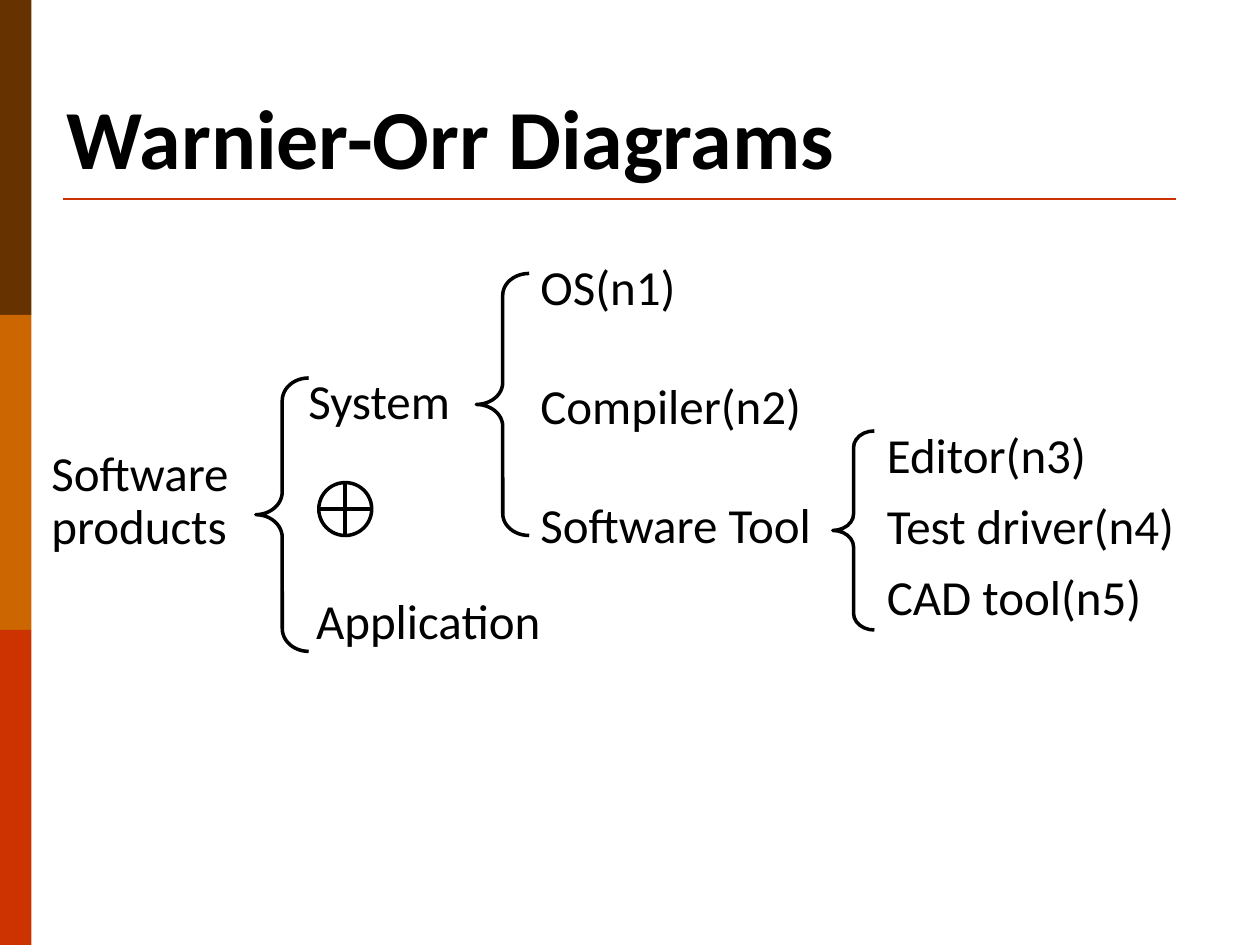
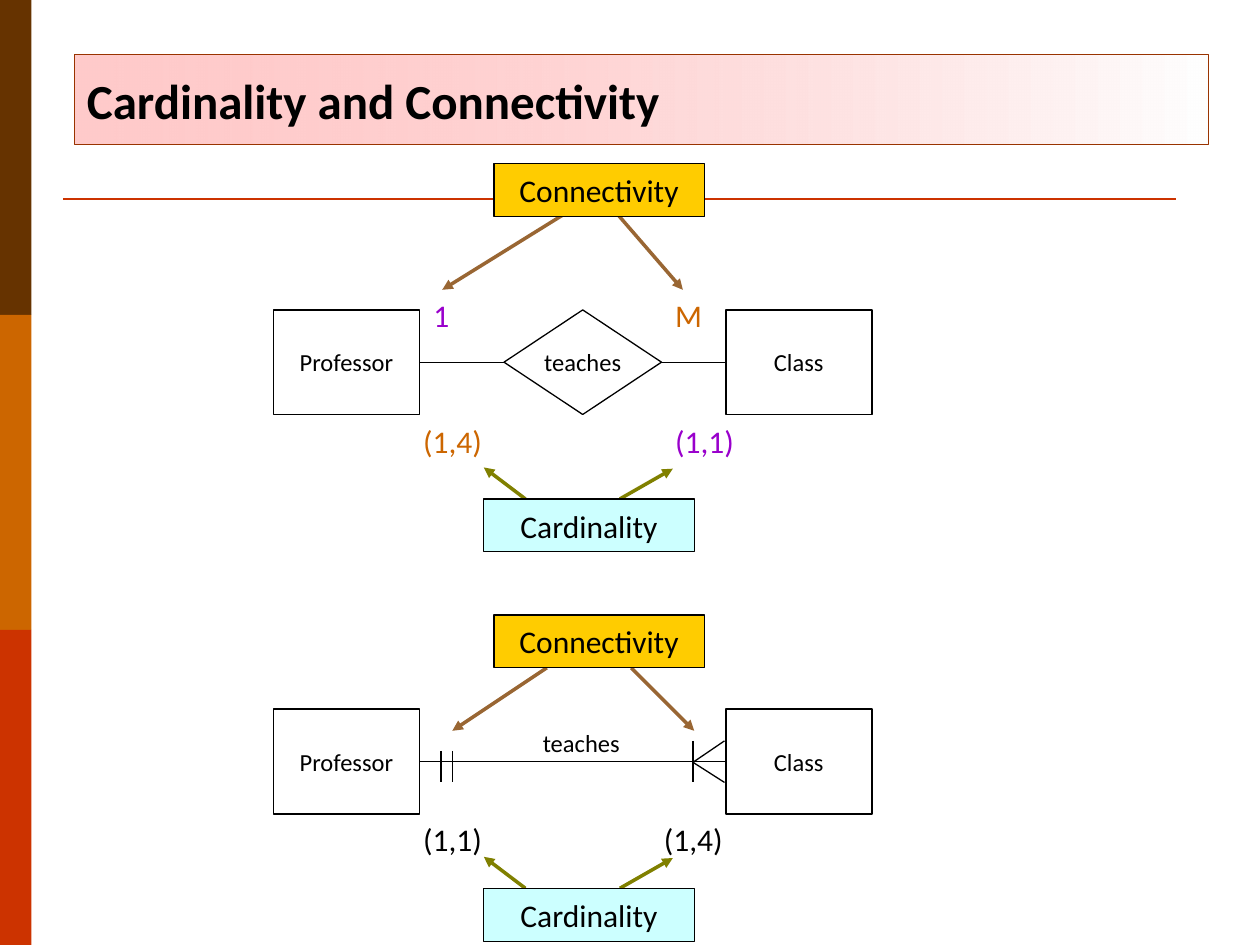
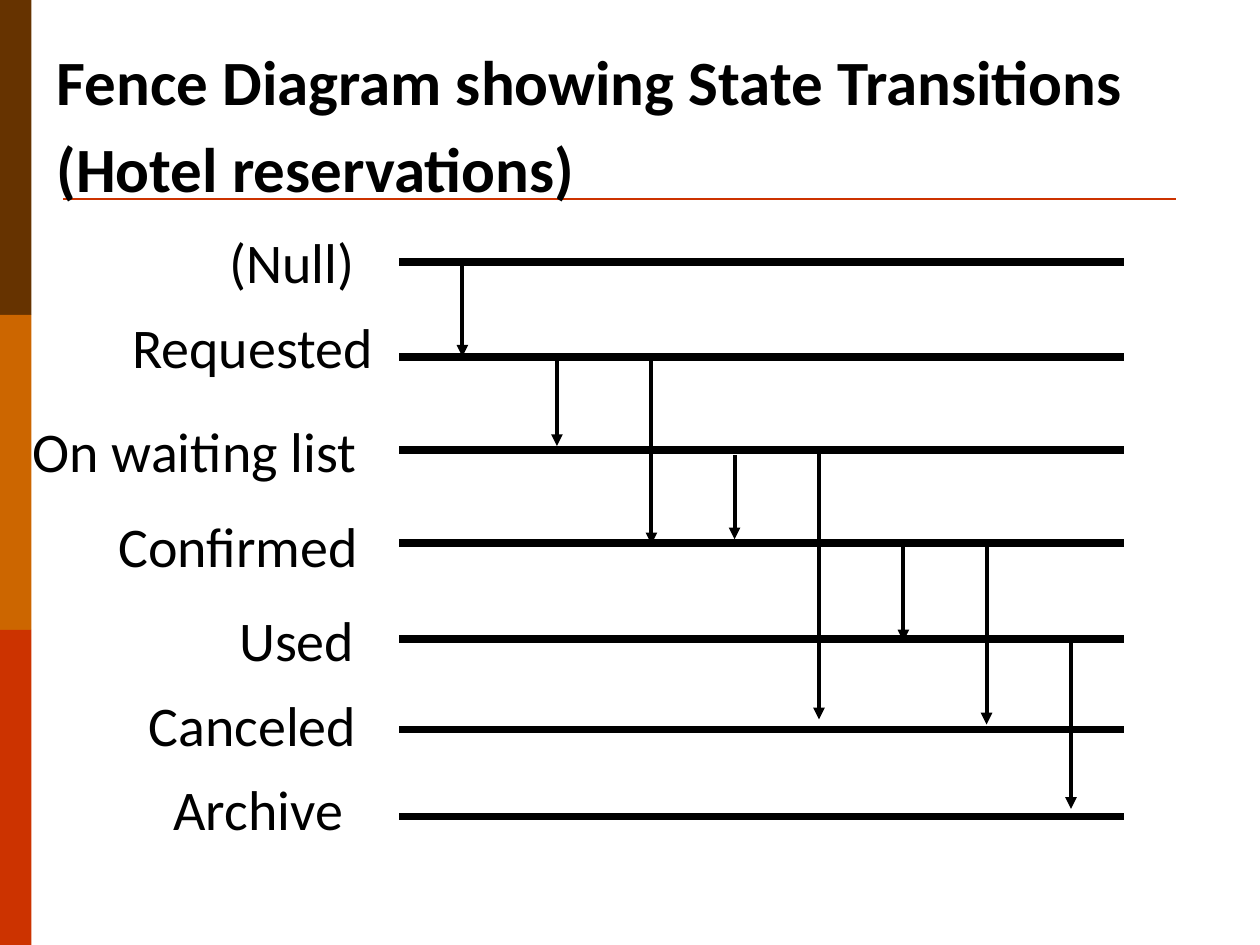
from pptx import Presentation
from pptx.dml.color import RGBColor
from pptx.enum.shapes import MSO_CONNECTOR, MSO_SHAPE
from pptx.enum.text import MSO_ANCHOR, MSO_AUTO_SIZE, PP_ALIGN
from pptx.oxml.ns import qn
from pptx.oxml.xmlchemy import OxmlElement
from pptx.util import Inches, Pt

FONT = "Calibri"
COLORS = {
    "black": "000000", "white": "FFFFFF", "brown": "663300",
    "orange": "CC6600", "red": "CC3300", "rust": "993300",
    "pink": "FF9999", "pale": "FEFEFE", "purple": "9900CC",
    "gold": "FFCC00", "aqua": "CCFFFF", "tan": "996633", "olive": "808000",
}


def rgb(name):
    return RGBColor.from_string(COLORS[name])


def write(frame, text, size=18, color="black", bold=False, align=PP_ALIGN.LEFT,
          anchor=MSO_ANCHOR.TOP, wrap=False, spacing=None, before=0):
    """Fill a text frame, one paragraph per line of text."""
    frame.auto_size = MSO_AUTO_SIZE.NONE
    frame.word_wrap = wrap
    frame.vertical_anchor = anchor
    for index, line in enumerate(text.split("\n")):
        para = frame.add_paragraph() if index else frame.paragraphs[0]
        para.alignment = align
        if spacing:
            para.line_spacing = spacing
        if index:
            para.space_before = Pt(before)
        span = para.add_run()
        span.text = line
        span.font.name = FONT
        span.font.size = Pt(size)
        span.font.bold = bold
        span.font.color.rgb = rgb(color)


class Deck:
    """Shared style and the slide being drawn."""

    def __init__(self):
        self.deck = Presentation()
        self.deck.slide_width, self.deck.slide_height = Inches(10), Inches(7.5)
        self.layout = self.deck.slide_layouts[5]
        self.slide = None

    def add_slide(self, title, at, size, **style):
        self.slide = self.deck.slides.add_slide(self.layout)
        box = self.slide.shapes.title
        box.left, box.top, box.width, box.height = map(Inches, at)
        write(box.text_frame, title, size=size, bold=True, wrap=True,
              **{"anchor": MSO_ANCHOR.BOTTOM, **style})
        return box

    def share(self, shapes):
        """Move shapes to the layout, in place of its footer placeholders."""
        for holder in list(self.layout.placeholders):
            if holder.placeholder_format.idx:
                holder.element.getparent().remove(holder.element)
        for shape in shapes:
            self.layout.shapes.element.append(shape.element)

    def shape(self, kind, at, fill=None, line="black", weight=0.75, text="", size=18):
        shape = self.slide.shapes.add_shape(kind, *map(Inches, at))
        shape.shadow.inherit = False
        if fill:
            shape.fill.solid()
            shape.fill.fore_color.rgb = rgb(fill)
        else:
            shape.fill.background()
        if line:
            shape.line.color.rgb = rgb(line)
            shape.line.width = Pt(weight)
        else:
            shape.line.fill.background()
        if text:
            write(shape.text_frame, text, size=size, align=PP_ALIGN.CENTER,
                  anchor=MSO_ANCHOR.MIDDLE)
        return shape

    def brace(self, left, top, width, height):
        brace = self.shape(MSO_SHAPE.LEFT_BRACE, (left, top, width, height), weight=2)
        brace.adjustments[0] = height / 12 / width

    def label(self, text, at, **style):
        box = self.slide.shapes.add_textbox(*map(Inches, at))
        write(box.text_frame, text, **style)

    def line(self, start, end, color="black", weight=0.75, arrow=False):
        line = self.slide.shapes.add_connector(
            MSO_CONNECTOR.STRAIGHT, *map(Inches, (*start, *end)))
        line.line.color.rgb = rgb(color)
        line.line.width = Pt(weight)
        if arrow:
            head = OxmlElement("a:tailEnd")
            head.set("type", "triangle")
            line.line._get_or_add_ln().append(head)
        line.element.spPr.append(OxmlElement("a:effectLst"))
        return line


def add_shared_parts(deck):
    bands = [deck.shape(MSO_SHAPE.RECTANGLE, (0, 2.5 * row, 0.25, 2.5), color, None)
             for row, color in enumerate(("brown", "orange", "red"))]
    rule = deck.line((0.5, 1.58), (9.33, 1.58), "red", 1.5)
    deck.share([*bands, rule])


def warnier_orr_slide(deck):
    deck.add_slide("Warnier-Orr Diagrams", (0.43, 0.28, 8.5, 1.25), 48)
    add_shared_parts(deck)

    # Braces and the exclusive-or sign
    for brace in ((2.03, 3, 0.42, 2.17), (3.78, 2.17, 0.42, 2.08),
                  (6.61, 3.42, 0.33, 1.58)):
        deck.brace(*brace)
    deck.shape(MSO_SHAPE.FLOWCHART_OR, (2.53, 3.83, 0.42, 0.42), weight=2)

    # Items of each level
    deck.label("Software\nproducts", (0.31, 3.59, 1.62, 0.85), size=28,
               spacing=0.7, before=7)
    deck.label("System", (2.35, 2.89, 1.34, 0.57), size=28)
    deck.label("Application", (2.41, 4.64, 1.99, 0.57), size=28)
    deck.label("OS(n1)\nCompiler(n2)\nSoftware Tool", (4.19, 2.08, 2.58, 2.36),
               size=28, wrap=True, spacing=0.8, before=41)
    deck.label("Editor(n3)\nTest driver(n4)\nCAD tool(n5)",
               (6.94, 3.32, 2.52, 1.7), size=28, before=7)


def entity_pair(deck, top):
    """Draw both entities and the line that relates them."""
    professor, course = [
        deck.shape(MSO_SHAPE.RECTANGLE, (left, top, 1.16, 0.83), "white",
                   weight=1, text=name, size=14)
        for name, left in (("Professor", 2.17), ("Class", 5.76))]
    middle = top + 0.42
    relation = deck.line((3.33, middle), (5.76, middle))
    relation.begin_connect(professor, 3)
    relation.end_connect(course, 1)


def callout(deck, text, left, top, fill, arrow_color, arrows):
    """Draw a caption box over the arrows that leave it."""
    for start, end in arrows:
        deck.line(start, end, arrow_color, 2, arrow=True)
    deck.shape(MSO_SHAPE.RECTANGLE, (left, top, 1.67, 0.42), fill, text=text)


def cardinality_slide(deck):
    title = deck.add_slide("Cardinality and Connectivity", (0.59, 0.43, 9, 0.72), 28,
                           anchor=MSO_ANCHOR.MIDDLE)

    # Title fill, from half-clear pink on the left to white
    title.fill.gradient()
    title.fill.gradient_angle = 180
    for stop, color in zip(title.fill.gradient_stops, ("pale", "pink")):
        stop.color.rgb = rgb(color)
    alpha = OxmlElement("a:alpha")
    alpha.set("val", "51000")
    list(title.element.spPr.iter(qn("a:srgbClr")))[1].append(alpha)
    title.line.color.rgb = rgb("rust")
    title.line.width = Pt(0.75)

    # Relationship as a diamond, then with crow's foot ends
    for top in (2.46, 5.63):
        entity_pair(deck, top)
    deck.shape(MSO_SHAPE.DIAMOND, (4, 2.46, 1.25, 0.83), "white",
               text="teaches", size=14)
    deck.label("teaches", (4.21, 5.73, 1.16, 0.34), size=14)
    for x, top in ((3.5, 5.96), (3.59, 5.96), (5.5, 5.88)):
        deck.line((x, top), (x, 6.21))
    for y in (5.88, 6.21):
        deck.line((5.5, 6.05), (5.75, y))

    # Values at the ends of the relationships
    for text, left, top, color in (
            ("1", 3.34, 2.3, "purple"), ("M", 5.26, 2.3, "orange"),
            ("(1,4)", 3.26, 3.3, "orange"), ("(1,1)", 5.26, 3.3, "purple"),
            ("(1,1)", 3.26, 6.46, "black"), ("(1,4)", 5.17, 6.46, "black")):
        deck.label(text, (left, top, 1.08, 0.4), color=color)

    # Captions
    for top, arrows in (
            (1.3, (((4.59, 1.63), (3.51, 2.3)), ((4.84, 1.63), (5.42, 2.3)))),
            (4.88, (((4.34, 5.3), (3.59, 5.8)), ((5.01, 5.3), (5.51, 5.8))))):
        callout(deck, "Connectivity", 3.92, top, "gold", "tan", arrows)
    for top in (3.96, 7.05):
        arrows = (((4.17, top), (3.84, top - 0.25)), ((4.92, top), (5.34, top - 0.24)))
        callout(deck, "Cardinality", 3.84, top, "aqua", "olive", arrows)


def fence_slide(deck):
    deck.add_slide("Fence Diagram showing State Transitions (Hotel reservations)",
                   (0.35, 0.68, 9.17, 1), 36, spacing=Pt(50))

    # States: label left, top and width, then height of the bar
    for state, left, top, width, bar in (
            ("(Null)", 1.72, 1.76, 1.2, 2.08),
            ("Requested", 0.95, 2.43, 2.13, 2.83),
            ("On waiting list", 0.16, 3.26, 2.78, 3.57),
            ("Confirmed", 0.84, 4.01, 2.11, 4.31),
            ("Used", 1.8, 4.76, 1.12, 5.07),
            ("Canceled", 1.08, 5.43, 1.85, 5.79),
            ("Archive", 1.28, 6.1, 1.56, 6.48)):
        deck.label(state, (left, top, width, 0.63), size=32)
        deck.line((3.17, bar), (8.92, bar), weight=4.5)

    # Transitions
    for x, start, end in (
            (3.67, 2.08, 2.83), (4.42, 2.86, 3.54), (5.17, 2.82, 4.32),
            (5.83, 3.61, 4.28), (6.5, 3.58, 5.71), (7.17, 4.34, 5.09),
            (7.83, 4.33, 5.75), (8.5, 5.09, 6.42)):
        deck.line((x, start), (x, end), weight=2.25, arrow=True)


def main():
    deck = Deck()
    warnier_orr_slide(deck)
    cardinality_slide(deck)
    fence_slide(deck)
    deck.deck.save("out.pptx")


if __name__ == "__main__":
    main()
